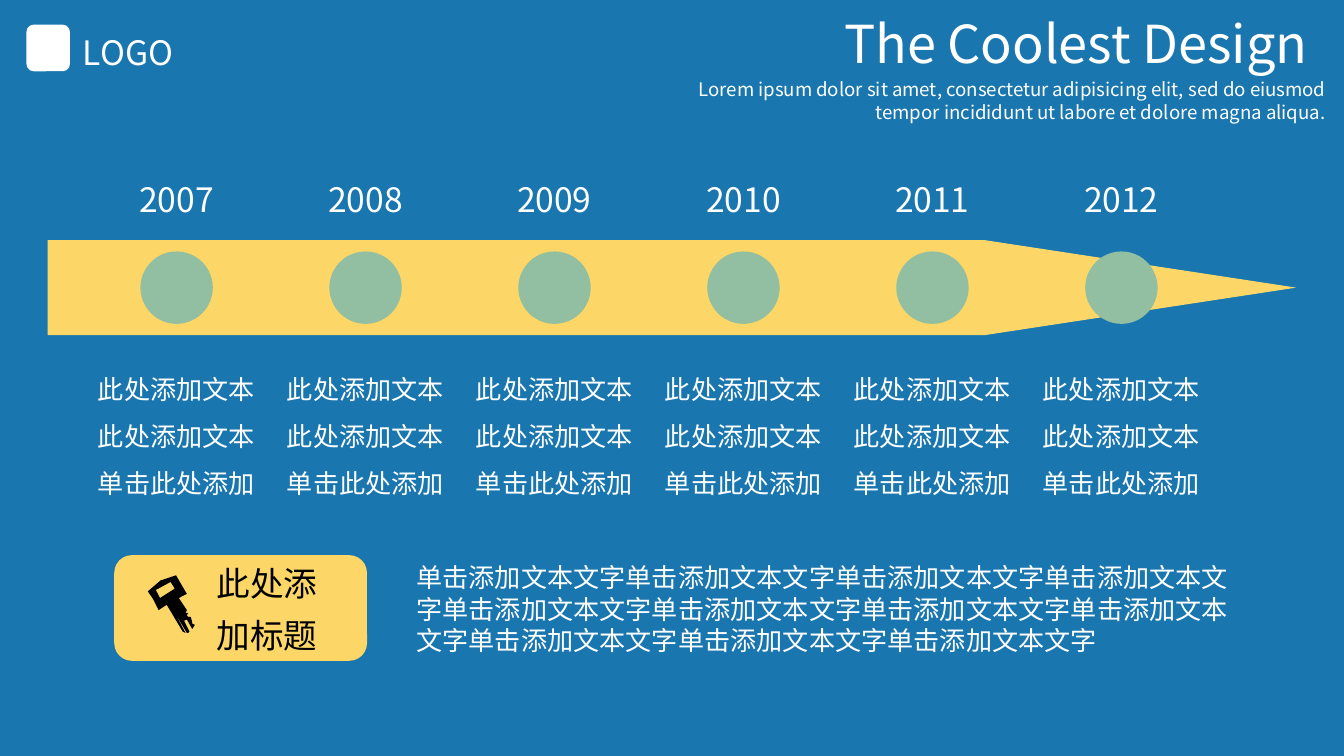
from typing import NamedTuple

from lxml import etree
from pptx import Presentation
from pptx.dml.color import RGBColor
from pptx.enum.shapes import MSO_SHAPE
from pptx.enum.text import MSO_ANCHOR, MSO_AUTO_SIZE, PP_ALIGN
from pptx.oxml.ns import qn
from pptx.util import Pt

LEFT, CENTER, RIGHT = PP_ALIGN.LEFT, PP_ALIGN.CENTER, PP_ALIGN.RIGHT
TOP, NO_AUTOFIT = MSO_ANCHOR.TOP, MSO_AUTO_SIZE.NONE
OVAL, ROUNDED = MSO_SHAPE.OVAL, MSO_SHAPE.ROUNDED_RECTANGLE

FONT = "Noto Sans CJK SC"
BLUE, YELLOW, GREEN = "1976AF", "FCD767", "92BEA2"
WHITE, BLACK = "FFFFFF", "000000"


class Box(NamedTuple):
    left: float
    top: float
    width: float
    height: float

    def emu(self) -> list:
        return [Pt(length) for length in self]


class Milestone(NamedTuple):
    year: str
    notes: str


MILESTONES = [
    Milestone(str(year), "此处添加文本\n此处添加文本单击此处添加")
    for year in range(2007, 2013)
]
FIRST_CENTER, STEP = 94.6, 101.23
ARROW_LEFT, ARROW_SHOULDER, ARROW_TIP = 25.5, 527.3, 694.4
ARROW_TOP, ARROW_MIDDLE, ARROW_BOTTOM = 128.6, 154.1, 179.6
DOT = 38.8

KEY_OUTLINE = [
    (79.2, 316.8), (86, 311), (94.3, 308.2), (100.1, 318.2), (95.8, 320.4),
    (100.1, 326.9), (99.4, 328.3), (100.8, 328.3), (100.1, 329.8),
    (100.8, 330.5), (102.2, 330.5), (103, 333.4), (103, 334.1),
    (104.4, 334.8), (103, 337), (100.1, 331.9), (98.6, 332.6),
    (101.5, 338.4), (100.8, 339.1), (100.1, 339.1), (92.9, 326.9),
    (99.4, 339.1), (97.9, 338.4), (89.3, 324), (85, 326.9), (82.1, 321.1),
]
KEY_HOLE = [(83.5, 316.1), (85.7, 320.4), (93.6, 315.4), (91.4, 311.8)]


def color(value: str) -> RGBColor:
    return RGBColor.from_string(value)


def paint(shape, fill: str) -> None:
    shape.shadow.inherit = False
    shape.fill.solid()
    shape.fill.fore_color.rgb = color(fill)
    shape.line.fill.background()


def write(shape, text: str, size: float, ink: str = WHITE, align=LEFT,
          spacing: float = 1.0, wrap: bool = True) -> None:
    frame = shape.text_frame
    frame.text = text
    frame.word_wrap = wrap
    frame.auto_size = NO_AUTOFIT
    frame.vertical_anchor = TOP
    for paragraph in frame.paragraphs:
        paragraph.alignment = align
        paragraph.line_spacing = spacing
        paragraph.space_before = Pt(0)
        for run in paragraph.runs:
            run.font.size = Pt(size)
            run.font.name = FONT
            run.font.color.rgb = color(ink)
            east_asian = etree.SubElement(run.font._element, qn("a:ea"))
            east_asian.set("typeface", FONT)


def add_text(shapes, box: Box, text: str, size: float, **style) -> None:
    write(shapes.add_textbox(*box.emu()), text, size, **style)


def fill_placeholder(placeholder, box: Box, text: str, size: float, **style) -> None:
    placeholder.left, placeholder.top, placeholder.width, placeholder.height = box.emu()
    write(placeholder, text, size, **style)


def add_preset(shapes, preset, box: Box, fill: str):
    shape = shapes.add_shape(preset, *box.emu())
    paint(shape, fill)
    return shape


def add_outline(shapes, contours: list, fill: str) -> None:
    scaled = [[(Pt(x), Pt(y)) for x, y in contour] for contour in contours]
    builder = shapes.build_freeform(*scaled[0][0])
    builder.add_line_segments(scaled[0][1:])
    for contour in scaled[1:]:
        builder.move_to(*contour[0])
        builder.add_line_segments(contour[1:])
    paint(builder.convert_to_shape(), fill)


def add_milestone(shapes, center: float, milestone: Milestone) -> None:
    dot = Box(center - DOT / 2, ARROW_MIDDLE - DOT / 2, DOT, DOT)
    add_preset(shapes, OVAL, dot, GREEN)
    add_text(shapes, Box(center - 55.8, 188, 111.6, 82.8), milestone.notes, 14,
             align=CENTER, spacing=1.5)
    add_text(shapes, Box(center - 27.7, 92.2, 55.4, 28.8), milestone.year, 18,
             align=CENTER, wrap=False)


def main() -> None:
    presentation = Presentation()
    presentation.slide_width, presentation.slide_height = Pt(720), Pt(405)
    slide = presentation.slides.add_slide(presentation.slide_layouts[1])
    slide.background.fill.solid()
    slide.background.fill.fore_color.rgb = color(BLUE)
    shapes = slide.shapes

    # Heading and introduction
    fill_placeholder(shapes.title, Box(445, 2.2, 289.4, 41), "The Coolest Design", 28)
    introduction = slide.placeholders[1]
    fill_placeholder(
        introduction, Box(354.2, 38.2, 362.9, 31.7),
        "Lorem ipsum dolor sit amet, consectetur adipisicing elit, sed do eiusmod "
        "tempor incididunt ut labore et dolore magna aliqua.", 10, align=RIGHT)
    properties = introduction.text_frame.paragraphs[0]._p.get_or_add_pPr()
    properties.set("marL", "0")
    properties.set("indent", "0")
    etree.SubElement(properties, qn("a:buNone"))

    # Logo position
    add_preset(shapes, ROUNDED, Box(14.2, 13.2, 23.3, 25), WHITE)
    add_text(shapes, Box(37.4, 13.7, 69.8, 28.8), "LOGO", 18)

    # Timeline
    add_outline(shapes, [[
        (ARROW_LEFT, ARROW_TOP), (ARROW_SHOULDER, ARROW_TOP),
        (ARROW_TIP, ARROW_MIDDLE), (ARROW_SHOULDER, ARROW_BOTTOM),
        (ARROW_LEFT, ARROW_BOTTOM),
    ]], YELLOW)
    for index, milestone in enumerate(MILESTONES):
        add_milestone(shapes, FIRST_CENTER + index * STEP, milestone)

    # Summary with key card
    add_text(shapes, Box(216, 297.4, 457.9, 57.6), "单击添加文本文字" * 11, 14)
    card = add_preset(shapes, ROUNDED, Box(61.2, 297.4, 135.4, 56.6), YELLOW)
    card.adjustments[0] = 0.167
    add_outline(shapes, [KEY_OUTLINE, KEY_HOLE], BLACK)
    add_text(shapes, Box(103.7, 291.6, 73.4, 63.4), "此处添\n加标题", 18,
             ink=BLACK, align=RIGHT, spacing=1.3)

    presentation.save("out.pptx")


if __name__ == "__main__":
    main()
